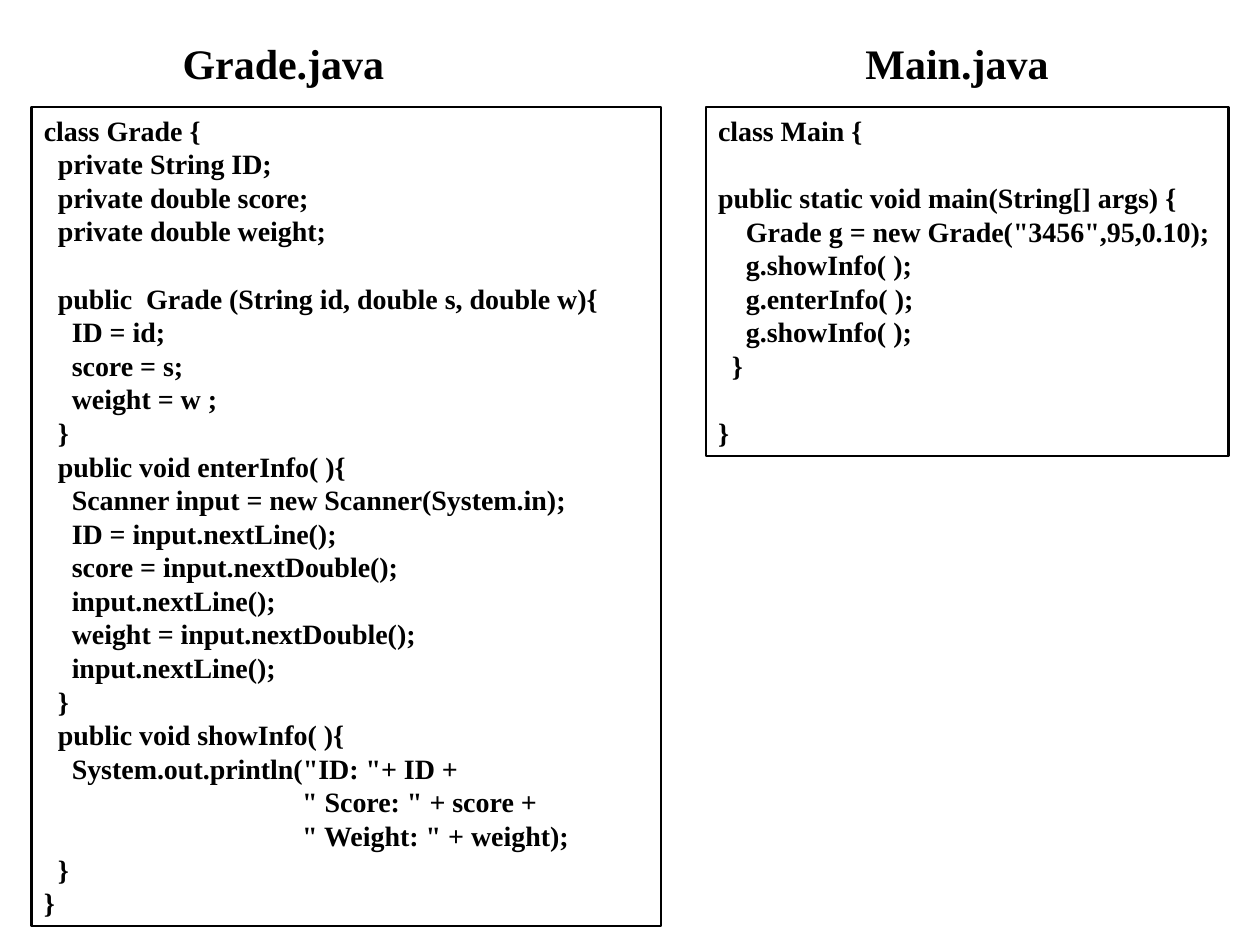
from pptx import Presentation
from pptx import util as u
from pptx.dml import color
from pptx.enum import shapes, text

# Content: one entry per source file
GRADE = """class Grade {
  private String ID;
  private double score;
  private double weight;

  public  Grade (String id, double s, double w){
    ID = id;
    score = s;
    weight = w ;
  }
  public void enterInfo( ){
    Scanner input = new Scanner(System.in);
    ID = input.nextLine();
    score = input.nextDouble();
    input.nextLine();
    weight = input.nextDouble();
    input.nextLine();
  }
  public void showInfo( ){
    System.out.println("ID: "+ ID +
                                     " Score: " + score +
                                     " Weight: " + weight);
  }
}"""

MAIN = """class Main {

public static void main(String[] args) {
    Grade g = new Grade("3456",95,0.10);
    g.showInfo( );
    g.enterInfo( );
    g.showInfo( );
  }

}"""

# Spans are (left, width) in inches
FILES = [
    dict(name="Grade.java", head=(1.35, 1.82), code=GRADE, box=(0.25, 5), wrap=True),
    dict(name="Main.java", head=(6.77, 1.67), code=MAIN, box=(5.6, 4.15), wrap=False),
]

THEME = dict(
    ink=color.RGBColor(0, 0, 0),
    font="Times New Roman",
    head=24,
    code=16,
    line=1.25,
    pitch=1.2,  # line height as a multiple of type size
)
SIZE = (10, 7.5)
TOPS = dict(head=0.25, code=0.85)
PAD = 0.05  # top and bottom inset of a box


def area(span, top, rows, size):
    """Box that holds the given number of text rows."""
    high = rows * size * THEME["pitch"] / 72 + 2 * PAD
    return [u.Inches(n) for n in (span[0], top, span[1], high)]


def write(shape, lines, size, wrap):
    """Fill a shape with lines; an empty line becomes space before the next."""
    frame = shape.text_frame
    form = dict(word_wrap=wrap, vertical_anchor=text.MSO_ANCHOR.TOP,
                auto_size=text.MSO_AUTO_SIZE.SHAPE_TO_FIT_TEXT)
    for key, val in form.items():
        setattr(frame, key, val)
    para, gap = None, 0
    for line in lines:
        if not line:
            gap += size * THEME["pitch"]
            continue
        para = frame.add_paragraph() if para else frame.paragraphs[0]
        para.alignment = text.PP_ALIGN.LEFT
        para.space_before, gap = u.Pt(gap), 0
        run = para.add_run()
        run.text = line
        for key, val in dict(name=THEME["font"], size=u.Pt(size), bold=True).items():
            setattr(run.font, key, val)
        run.font.color.rgb = THEME["ink"]


deck = Presentation()
deck.slide_width, deck.slide_height = [u.Inches(n) for n in SIZE]
slide = deck.slides.add_slide(deck.slide_layouts[6])

for item in FILES:
    # Framed code
    lines = item["code"].split("\n")
    box = slide.shapes.add_shape(
        shapes.MSO_SHAPE.RECTANGLE,
        *area(item["box"], TOPS["code"], len(lines), THEME["code"]))
    box.shadow.inherit = False
    box.fill.background()
    box.line.color.rgb = THEME["ink"]
    box.line.width = u.Pt(THEME["line"])
    write(box, lines, THEME["code"], item["wrap"])

    # File name above
    head = slide.shapes.add_textbox(
        *area(item["head"], TOPS["head"], 1, THEME["head"]))
    write(head, [item["name"]], THEME["head"], False)

deck.save("out.pptx")
